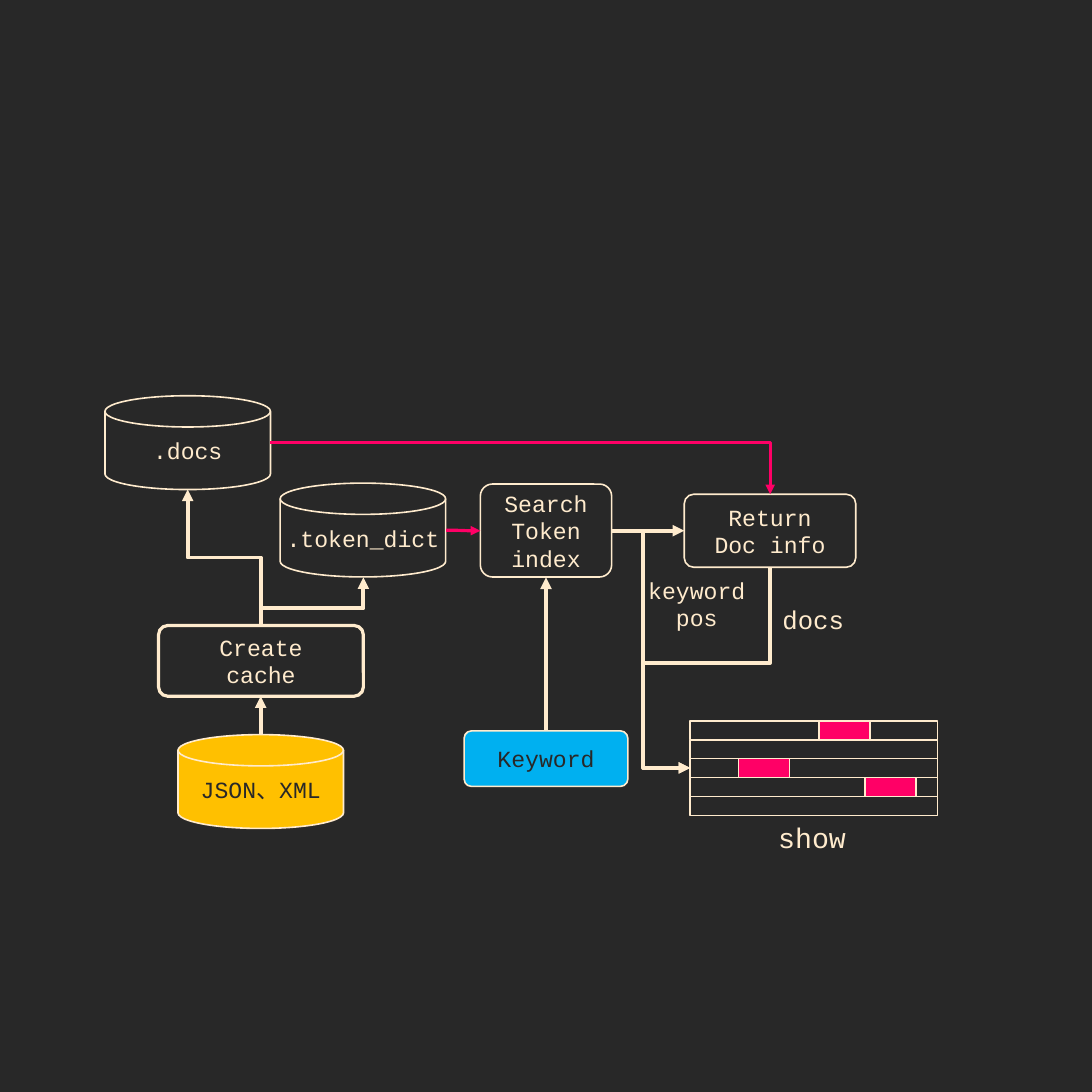
from pptx import Presentation
from pptx.dml.color import RGBColor
from pptx.enum.shapes import MSO_CONNECTOR as LINK, MSO_SHAPE as KIND
from pptx.enum.text import MSO_ANCHOR, PP_ALIGN
from pptx.oxml.ns import qn
from pptx.util import Inches, Pt
from lxml.etree import SubElement

DARK = RGBColor(0x28, 0x28, 0x28)
CREAM = RGBColor(0xFF, 0xEB, 0xCD)
PINK = RGBColor(0xFF, 0x00, 0x66)
GOLD = RGBColor(0xFF, 0xC0, 0x00)
BLUE = RGBColor(0x00, 0xB0, 0xF0)

DISK, CARD = KIND.FLOWCHART_MAGNETIC_DISK, KIND.ROUNDED_RECTANGLE

# Nodes: text, kind, (left, top, width, height), fill, border
NODES = [
    (".docs", DISK, (2.27, 8.56, 3.58, 2.03), None, 2.5),
    (".token_dict", DISK, (6.06, 10.45, 3.58, 2.03), None, 2.5),
    ("JSON、XML", DISK, (3.85, 15.89, 3.58, 2.03), GOLD, 2.5),
    ("Create\ncache", CARD, (3.43, 13.53, 4.43, 1.53), None, 5),
    ("Search\nToken\nindex", CARD, (10.39, 10.47, 2.84, 2.01), None, 2.5),
    ("Return\nDoc info", CARD, (14.8, 10.69, 3.71, 1.58), None, 2.5),
    ("Keyword", CARD, (10.04, 15.81, 3.54, 1.2), BLUE, 2.5),
]

# Labels: text, box, size
LABELS = [
    ("docs", (16.66, 12.92, 1.86, 0.94), 40),
    ("keyword\npos", (13.72, 12.4, 2.7, 1.32), 36),
    ("show", (15.96, 17.63, 3.21, 0.94), 44),
]

# Straight and curved arrows: kind, start, end, colour, width
ARROWS = [
    (LINK.STRAIGHT, (5.64, 15.89), (5.64, 15.06), CREAM, 6),
    (LINK.STRAIGHT, (11.81, 15.81), (11.81, 12.49), CREAM, 6),
    (LINK.STRAIGHT, (13.23, 11.48), (14.8, 11.48), CREAM, 6),
    (LINK.CURVE, (9.65, 11.47), (10.39, 11.48), PINK, 5),
]

# Bent arrows: start, end, leaves upright, bends as shares of the span, colour, width
BENDS = [
    ((5.64, 13.53), (4.06, 10.59), True, [0.5], CREAM, 6),
    ((5.64, 13.53), (7.86, 12.49), True, [0.356], CREAM, 6),
    ((5.85, 9.58), (16.66, 10.69), False, [], PINK, 5),
    ((13.23, 11.48), (14.93, 16.61), False, [0.402], CREAM, 6),
    ((16.66, 12.27), (14.93, 16.61), True, [0.476, 1.589], CREAM, 6),
]

# Result list: each row's hit offset, if any
HITS = [2.78, None, 1.04, 3.78, None]
LEFT, TOP, WIDE, HIGH, HIT = 14.93, 15.59, 5.35, 0.41, 1.11

deck = Presentation()
deck.slide_width = deck.slide_height = Inches(23.62)
slide = deck.slides.add_slide(deck.slide_layouts[6])
slide.background.fill.solid()
slide.background.fill.fore_color.rgb = DARK
shapes = slide.shapes


def write(shape, text, size, color):
    frame = shape.text_frame
    frame.text = text
    frame.word_wrap = True
    frame.vertical_anchor = MSO_ANCHOR.MIDDLE
    for para in frame.paragraphs:
        para.alignment = PP_ALIGN.CENTER
        para.font.color.rgb = color
        for key, value in {"name": "Courier New", "size": Pt(size)}.items():
            setattr(para.font, key, value)


def draw(kind, box, fill, border):
    shape = shapes.add_shape(kind, *map(Inches, box))
    shape.shadow.inherit = False
    if fill is None:
        shape.fill.background()
    else:
        shape.fill.solid()
        shape.fill.fore_color.rgb = fill
    shape.line.color.rgb = CREAM
    shape.line.width = Pt(border)
    return shape


def link(kind, start, end, color, width):
    line = shapes.add_connector(kind, *map(Inches, (*start, *end)))
    line.line.color.rgb = color
    line.line.width = Pt(width)
    props = line._element.spPr
    SubElement(props.find(qn("a:ln")), qn("a:tailEnd"), type="triangle")
    SubElement(props, qn("a:effectLst"))
    return props


def bend(start, end, upright, turns, color, width):
    if upright:
        # Lay the line flat about its centre, then turn it a quarter
        (ax, ay), (bx, by) = start, end
        mx, my = (ax + bx) / 2, (ay + by) / 2
        dx, dy = (bx - ax) / 2, (by - ay) / 2
        start, end = (mx - dy, my + dx), (mx + dy, my - dx)
    props = link(LINK.ELBOW, start, end, color, width)
    if upright:
        props.find(qn("a:xfrm")).set("rot", "5400000")
    shape = props.find(qn("a:prstGeom"))
    shape.set("prst", f"bentConnector{len(turns) + 2}")
    guides = shape.find(qn("a:avLst"))
    for num, turn in enumerate(turns, 1):
        SubElement(guides, qn("a:gd"), name=f"adj{num}", fmla=f"val {round(turn * 100000)}")


# Nodes
for text, kind, box, fill, border in NODES:
    node = draw(kind, box, fill, border)
    if kind == CARD:
        node.adjustments[0] = 0.13
    write(node, text, 36, DARK if fill else CREAM)

# Arrows
for arrow in ARROWS:
    link(*arrow)
for item in BENDS:
    bend(*item)

# Result list
for row, hit in enumerate(HITS):
    top = TOP + row * HIGH
    draw(KIND.RECTANGLE, (LEFT, top, WIDE, HIGH), None, 2.5)
    if hit is not None:
        draw(KIND.RECTANGLE, (LEFT + hit, top, HIT, HIGH), PINK, 2.5)

# Labels
for text, box, size in LABELS:
    write(shapes.add_textbox(*map(Inches, box)), text, size, CREAM)

deck.save("out.pptx")
